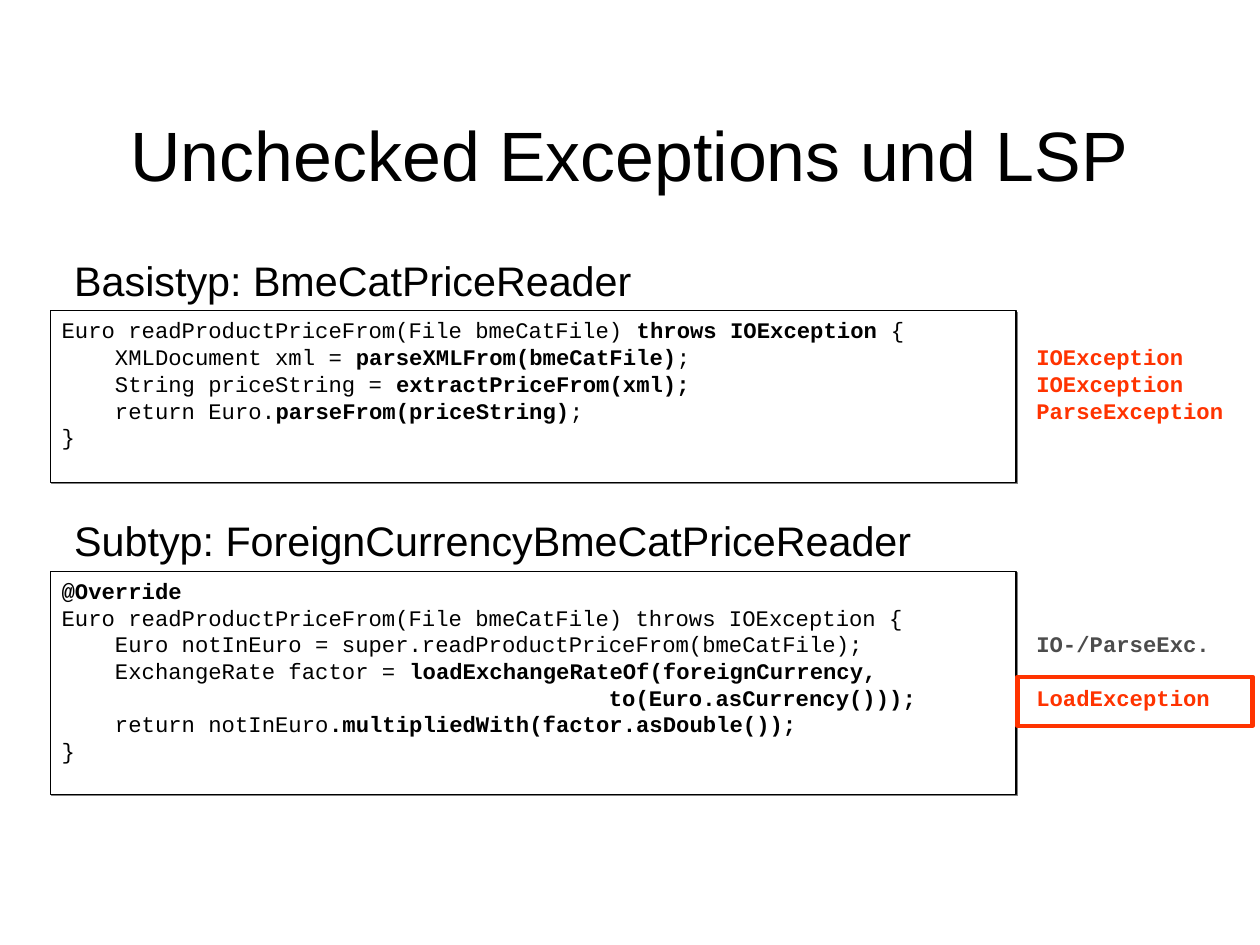
"""Build the slide on unchecked exceptions and the LSP."""
from lxml import etree
from pptx import Presentation
from pptx.dml.color import RGBColor
from pptx.enum.shapes import MSO_SHAPE
from pptx.enum.text import MSO_ANCHOR, PP_ALIGN
from pptx.oxml.ns import qn
from pptx.util import Cm, Pt

RECTANGLE = MSO_SHAPE.RECTANGLE
TOP, BOTTOM = MSO_ANCHOR.TOP, MSO_ANCHOR.BOTTOM
LEFT, CENTER = PP_ALIGN.LEFT, PP_ALIGN.CENTER

COLORS = {"black": "000000", "white": "FFFFFF", "red": "FF3300",
          "gray": "4C4C4C", "shadow": "808080"}
TITLE = "Unchecked Exceptions und LSP"
# Each code run is (text, bold); each label is (code line, text, color).
SECTIONS = [
    {
        "heading": "Basistyp: BmeCatPriceReader",
        "heading_width": 14.88, "top": 6.91, "height": 3.81,
        "code": [
            [("Euro readProductPriceFrom(File bmeCatFile) ", False),
             ("throws IOException", True), (" {", False)],
            [("    XMLDocument xml = ", False),
             ("parseXMLFrom(bmeCatFile)", True), (";", False)],
            [("    String priceString = ", False),
             ("extractPriceFrom(xml);", True)],
            [("    return Euro.", False),
             ("parseFrom(priceString)", True), (";", False)],
            [("}", False)],
        ],
        "labels": [(1, "IOException", "red"), (2, "IOException", "red"),
                   (3, "ParseException", "red")],
    },
    {
        "heading": "Subtyp: ForeignCurrencyBmeCatPriceReader",
        "heading_width": 22.33, "top": 12.7, "height": 4.95,
        "code": [
            [("@Override", True)],
            [("Euro readProductPriceFrom(File bmeCatFile) throws IOException {", False)],
            [("    Euro notInEuro = super.readProductPriceFrom(bmeCatFile);", False)],
            [("    ExchangeRate factor = ", False),
             ("loadExchangeRateOf(foreignCurrency,", True)],
            [("                                         to(Euro.asCurrency()));", True)],
            [("    return notInEuro", False),
             (".multipliedWith(factor.asDouble());", True)],
            [("}", False)],
        ],
        "labels": [(2, "IO-/ParseExc.", "gray"), (4, "LoadException", "red")],
    },
]
CODE_LEFT, CODE_WIDTH = 1.12, 21.46
LABEL_LEFT, LABEL_WIDTH, LABEL_HEIGHT = 22.78, 5.08, 3.81
HEADING_LEFT, HEADING_HEIGHT = 1.4, 1.4
HIGHLIGHT = (22.61, 15.04, 5.23, 1.09)
INSET_X, INSET_Y = 0.25, 0.13
CODE_SIZE, LINE_PITCH = 14, 16.8


def color(name):
    return RGBColor.from_string(COLORS[name])


def set_up_frame(shape, inset_x=INSET_X, inset_y=INSET_Y, anchor=TOP):
    frame = shape.text_frame
    frame.word_wrap = True
    frame.vertical_anchor = anchor
    frame.margin_left = frame.margin_right = Cm(inset_x)
    frame.margin_top = frame.margin_bottom = Cm(inset_y)
    return frame


def add_run(paragraph, text, font, size, color_name="black", bold=False):
    run = paragraph.add_run()
    run.text = text
    run.font.name, run.font.size, run.font.bold = font, Pt(size), bold
    run.font.color.rgb = color(color_name)


def add_heading(slide, box, text, size, alignment=LEFT, **frame_options):
    shape = slide.shapes.add_textbox(*map(Cm, box))
    paragraph = set_up_frame(shape, **frame_options).paragraphs[0]
    paragraph.alignment = alignment
    add_run(paragraph, text, "Arial", size)


def add_rectangle(slide, box, fill=None, line=None, line_width=0.75):
    shape = slide.shapes.add_shape(RECTANGLE, *map(Cm, box))
    shape.shadow.inherit = False
    if fill:
        shape.fill.solid()
        shape.fill.fore_color.rgb = color(fill)
    else:
        shape.fill.background()
    if line:
        shape.line.color.rgb = color(line)
        shape.line.width = Pt(line_width)
    else:
        shape.line.fill.background()
    return shape


def add_shadow(shape):
    effects = shape._element.spPr.find(qn("a:effectLst"))
    shadow = etree.SubElement(effects, qn("a:outerShdw"), blurRad="0",
                              dist=str(Pt(1.4)), dir=str(45 * 60000),
                              algn="tl", rotWithShape="0")
    etree.SubElement(shadow, qn("a:srgbClr"), val=COLORS["shadow"])


def add_code_line(frame, index, runs):
    paragraph = frame.add_paragraph() if index else frame.paragraphs[0]
    paragraph.alignment = LEFT
    paragraph.line_spacing = Pt(LINE_PITCH)
    for run in runs:
        add_run(paragraph, run[0], "Courier New", CODE_SIZE, *run[1:])
    return paragraph


def add_code(slide, section):
    box = (CODE_LEFT, section["top"], CODE_WIDTH, section["height"])
    shape = add_rectangle(slide, box, "white", "black")
    add_shadow(shape)
    frame = set_up_frame(shape)
    for index, runs in enumerate(section["code"]):
        add_code_line(frame, index, [(text, "black", bold) for text, bold in runs])


def add_labels(slide, section):
    box = (LABEL_LEFT, section["top"], LABEL_WIDTH, LABEL_HEIGHT)
    frame = set_up_frame(add_rectangle(slide, box, "white"))
    previous = section["labels"][0][0] - 1
    frame.margin_top = Cm(INSET_Y) + Pt(LINE_PITCH * (previous + 1))
    for index, (line, text, color_name) in enumerate(section["labels"]):
        paragraph = add_code_line(frame, index, [(text, color_name, True)])
        paragraph.space_before = Pt(LINE_PITCH * (line - previous - 1))
        previous = line


def main():
    presentation = Presentation()
    presentation.slide_width, presentation.slide_height = Cm(28), Cm(21)
    slide = presentation.slides.add_slide(presentation.slide_layouts[6])
    add_heading(slide, (1.4, 0.84, 25.2, 3.5), TITLE, 44, CENTER,
                inset_x=0, inset_y=0, anchor=BOTTOM)
    for section in SECTIONS:
        heading_top = section["top"] - HEADING_HEIGHT + 0.03
        add_heading(slide, (HEADING_LEFT, heading_top, section["heading_width"],
                            HEADING_HEIGHT), section["heading"], 26)
        add_code(slide, section)
        add_labels(slide, section)
    add_rectangle(slide, HIGHLIGHT, line="red", line_width=2.83)
    presentation.save("out.pptx")


if __name__ == "__main__":
    main()
